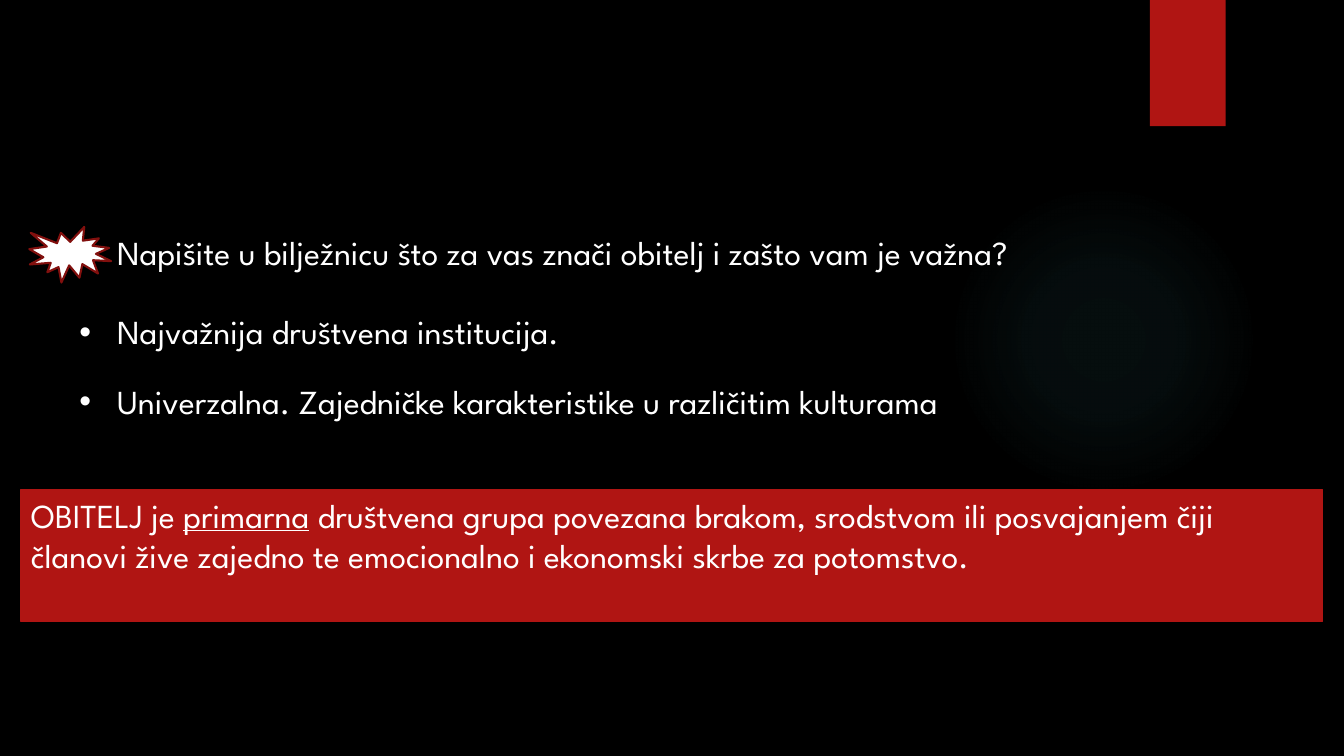
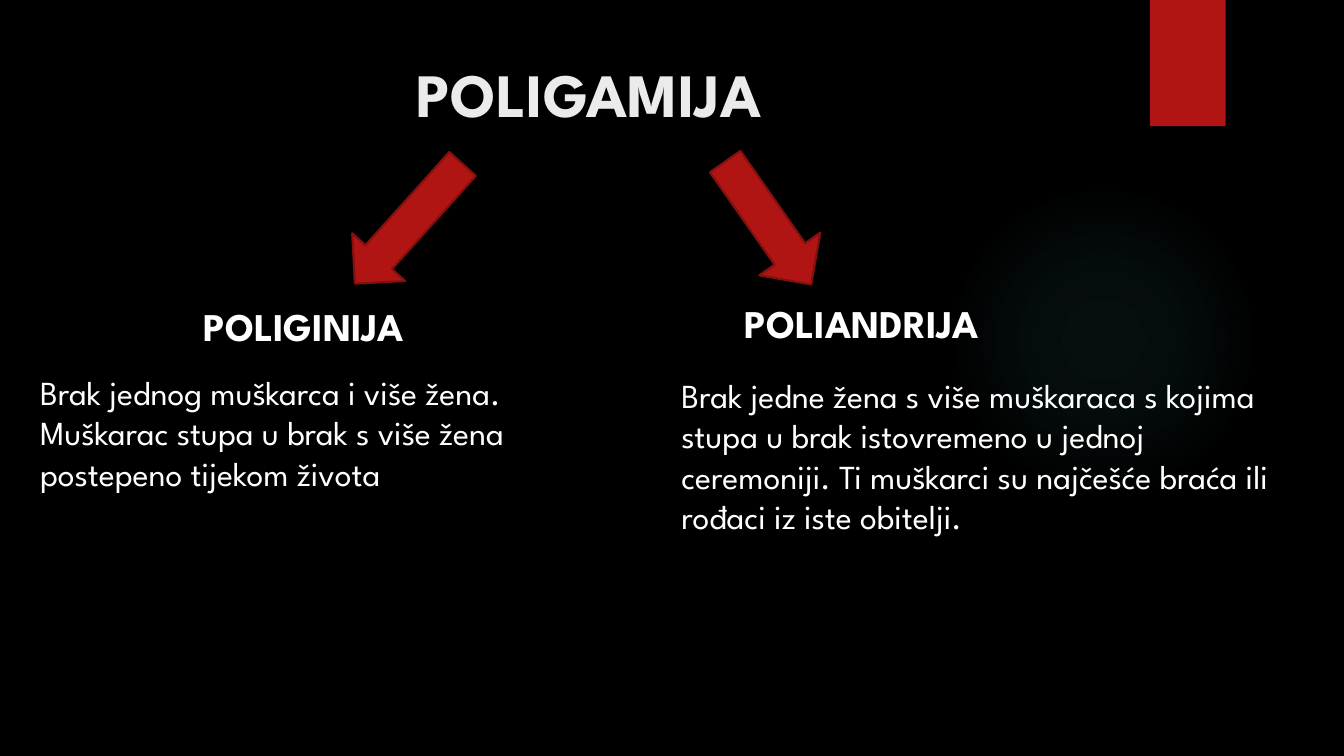
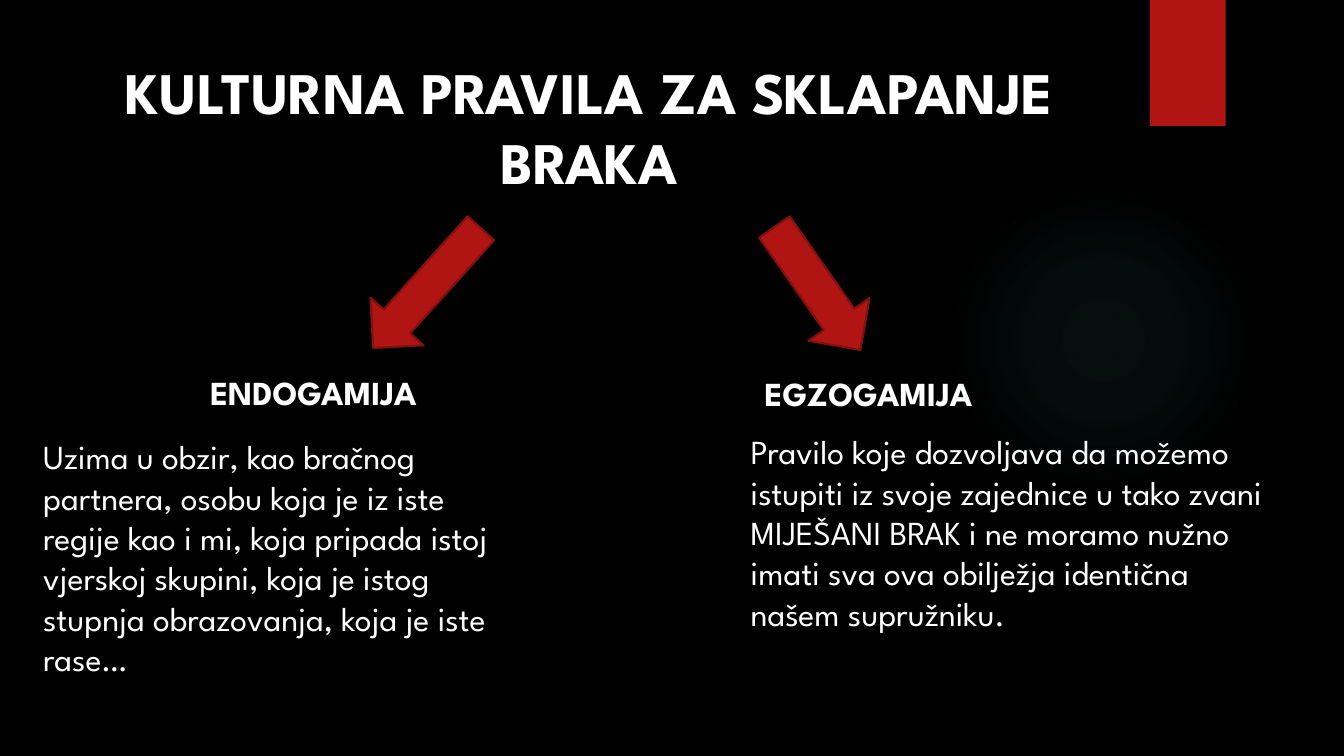
"""Build three slides on the family and the rules of marriage."""
from dataclasses import dataclass

from pptx import Presentation, oxml
from pptx.dml.color import RGBColor
from pptx.enum import shapes, text
from pptx.oxml import ns
from pptx.util import Cm, Pt

FONT = "League Spartan"
HEX = {
    "back": "000000",
    "red": "B01513",
    "edge": "82100E",
    "white": "FFFFFF",
    "pale": "EBEBEB",
    "glow": "50B9C1",
}
KIND = shapes.MSO_SHAPE
INDENT = 0.95


@dataclass(frozen=True)
class Box:
    left: float
    top: float
    width: float
    height: float

    def cm(self) -> tuple:
        return Cm(self.left), Cm(self.top), Cm(self.width), Cm(self.height)


@dataclass(frozen=True)
class Branch:
    tip: Box
    turn: int
    name: str
    head: Box
    words: str
    body: Box


@dataclass(frozen=True)
class Split:
    title: str
    size: int
    tint: str
    sub: int
    sides: tuple[Branch, Branch]


TITLE = Box(1.8, 1.27, 26.11, 3.89)
SPLITS = (
    Split("POLIGAMIJA", 44, "pale", 28, (
        Branch(Box(9.4, 3.61, 1.8, 4.06), 42,
               "POLIGINIJA", Box(4.88, 7.49, 6.81, 1.45),
               "Brak jednog muškarca i više žena. Muškarac stupa u brak s više "
               "žena postepeno tijekom života",
               Box(0.76, 9.25, 15.01, 3.33)),
        Branch(Box(18.42, 3.73, 1.88, 3.78), 325,
               "POLIANDRIJA", Box(18.52, 7.42, 10.39, 1.45),
               "Brak jedne žena s više muškaraca s kojima stupa u brak "
               "istovremeno u jednoj ceremoniji. Ti muškarci su najčešće braća "
               "ili rođaci iz iste obitelji.",
               Box(16.92, 9.32, 15.39, 5.38)))),
    Split("KULTURNA PRAVILA ZA SKLAPANJE BRAKA", 42, "white", 24, (
        Branch(Box(9.86, 5.23, 1.8, 4.06), 42,
               "ENDOGAMIJA", Box(5.05, 9.25, 7.75, 1.27),
               "Uzima u obzir, kao bračnog partnera, osobu koja je iz iste "
               "regije kao i mi, koja pripada istoj vjerskoj skupini, koja je "
               "istog stupnja obrazovanja, koja je iste rase…",
               Box(0.84, 10.87, 12.29, 7.44)),
        Branch(Box(19.66, 5.38, 1.88, 3.78), 325,
               "EGZOGAMIJA", Box(19.02, 9.27, 11.61, 1.27),
               "Pravilo koje dozvoljava da možemo istupiti iz svoje zajednice u "
               "tako zvani MIJEŠANI BRAK i ne moramo nužno imati sva ova "
               "obilježja identična našem supružniku.",
               Box(18.67, 10.74, 13.92, 6.4)))),
)


def color(name: str) -> RGBColor:
    return RGBColor.from_string(HEX[name])


def style(frame, size: int = 24, bold: bool = False, tint: str = "white",
          align=text.PP_ALIGN.LEFT) -> None:
    frame.word_wrap = True
    frame.auto_size = text.MSO_AUTO_SIZE.NONE
    frame.vertical_anchor = text.MSO_ANCHOR.TOP
    for para in frame.paragraphs:
        para.alignment = align
        for run in para.runs:
            run.font.name = FONT
            run.font.size = Pt(size)
            run.font.bold = bold
            run.font.color.rgb = color(tint)


def write(slide, box: Box, words: str, size: int = 24, bold: bool = False):
    frame = slide.shapes.add_textbox(*box.cm()).text_frame
    frame.text = words
    style(frame, size, bold)
    return frame.paragraphs[0]


def indent(para, mark: str = "") -> None:
    props = para._p.get_or_add_pPr()
    props.set("marL", str(Cm(INDENT)))
    if mark:
        props.set("indent", str(-Cm(INDENT)))
        props.append(oxml.parse_xml(
            f'<a:buFont {ns.nsdecls("a")} typeface="Arial"/>'))
        props.append(oxml.parse_xml(
            f'<a:buChar {ns.nsdecls("a")} char="{mark}"/>'))


def draw(slide, kind, box: Box, fill: str = "red", edge: str = "",
         width: float = 1.5):
    shape = slide.shapes.add_shape(kind, *box.cm())
    shape.shadow.inherit = False
    shape.fill.solid()
    shape.fill.fore_color.rgb = color(fill)
    if edge:
        shape.line.color.rgb = color(edge)
        shape.line.width = Pt(width)
    else:
        shape.line.fill.background()
    return shape


def shine(shape) -> None:
    stops = "".join(
        f'<a:gs pos="{pos}000"><a:srgbClr val="{HEX["glow"]}">'
        f'<a:alpha val="{alpha}000"/></a:srgbClr></a:gs>'
        for pos, alpha in ((0, 7), (36, 6), (69, 0)))
    grad = oxml.parse_xml(
        f'<a:gradFill {ns.nsdecls("a")}><a:gsLst>{stops}</a:gsLst>'
        '<a:path path="circle"><a:fillToRect l="50000" t="50000" r="50000" '
        'b="50000"/></a:path></a:gradFill>')
    props = shape.element.spPr
    props.replace(props.find(ns.qn("a:solidFill")), grad)


def share(deck, slide) -> None:
    master = deck.slide_master
    master.background.fill.solid()
    master.background.fill.fore_color.rgb = color("back")
    glow = draw(slide, KIND.OVAL, Box(23.9, 4.65, 7.82, 7.82), "glow")
    shine(glow)
    band = draw(slide, KIND.RECTANGLE, Box(28.98, 0, 1.91, 3.18))
    for spot, shape in enumerate((glow, band)):
        shape.element.xpath("./p:nvSpPr/p:cNvPr")[0].set("id", str(100 + spot))
        master.shapes.element.insert(2 + spot, shape.element)


def intro(slide) -> None:
    ask = write(slide, Box(1.75, 5.72, 31, 1.27),
                "Napišite u bilježnicu što za vas znači obitelj i zašto vam "
                "je važna?")
    indent(ask)
    draw(slide, KIND.EXPLOSION1, Box(0.74, 5.72, 2.06, 1.4), "white", "edge")
    facts = ("Najvažnija društvena institucija.",
             "Univerzalna. Zajedničke karakteristike u različitim kulturama")
    for row, fact in enumerate(facts):
        para = write(slide, Box(1.75, 7.72 + 1.75 * row, 29, 1.27), fact)
        indent(para, "•")
    panel = draw(slide, KIND.RECTANGLE, Box(0.53, 12.34, 32.79, 3.33),
                 "red", "red", 0.75)
    frame = panel.text_frame
    frame.text = "OBITELJ je "
    para = frame.paragraphs[0]
    for part in ("primarna",
                 " društvena grupa povezana brakom, srodstvom ili posvajanjem "
                 "čiji članovi žive zajedno te emocionalno i ekonomski skrbe "
                 "za potomstvo."):
        para.add_run().text = part
    style(frame)
    para.runs[1].font.underline = True


def fork(slide, split: Split) -> None:
    title = slide.shapes.title
    title.left, title.top, title.width, title.height = TITLE.cm()
    title.text_frame.text = split.title
    style(title.text_frame, split.size, True, split.tint, text.PP_ALIGN.CENTER)
    for side in split.sides:
        arrow = draw(slide, KIND.DOWN_ARROW, side.tip, "red", "edge")
        arrow.rotation = side.turn
        write(slide, side.head, side.name, split.sub, True)
        write(slide, side.body, side.words)


def main() -> None:
    deck = Presentation()
    deck.slide_width, deck.slide_height = Cm(33.87), Cm(19.05)
    first = deck.slides.add_slide(deck.slide_layouts[6])
    share(deck, first)
    intro(first)
    for split in SPLITS:
        fork(deck.slides.add_slide(deck.slide_layouts[5]), split)
    deck.save("out.pptx")


if __name__ == "__main__":
    main()
